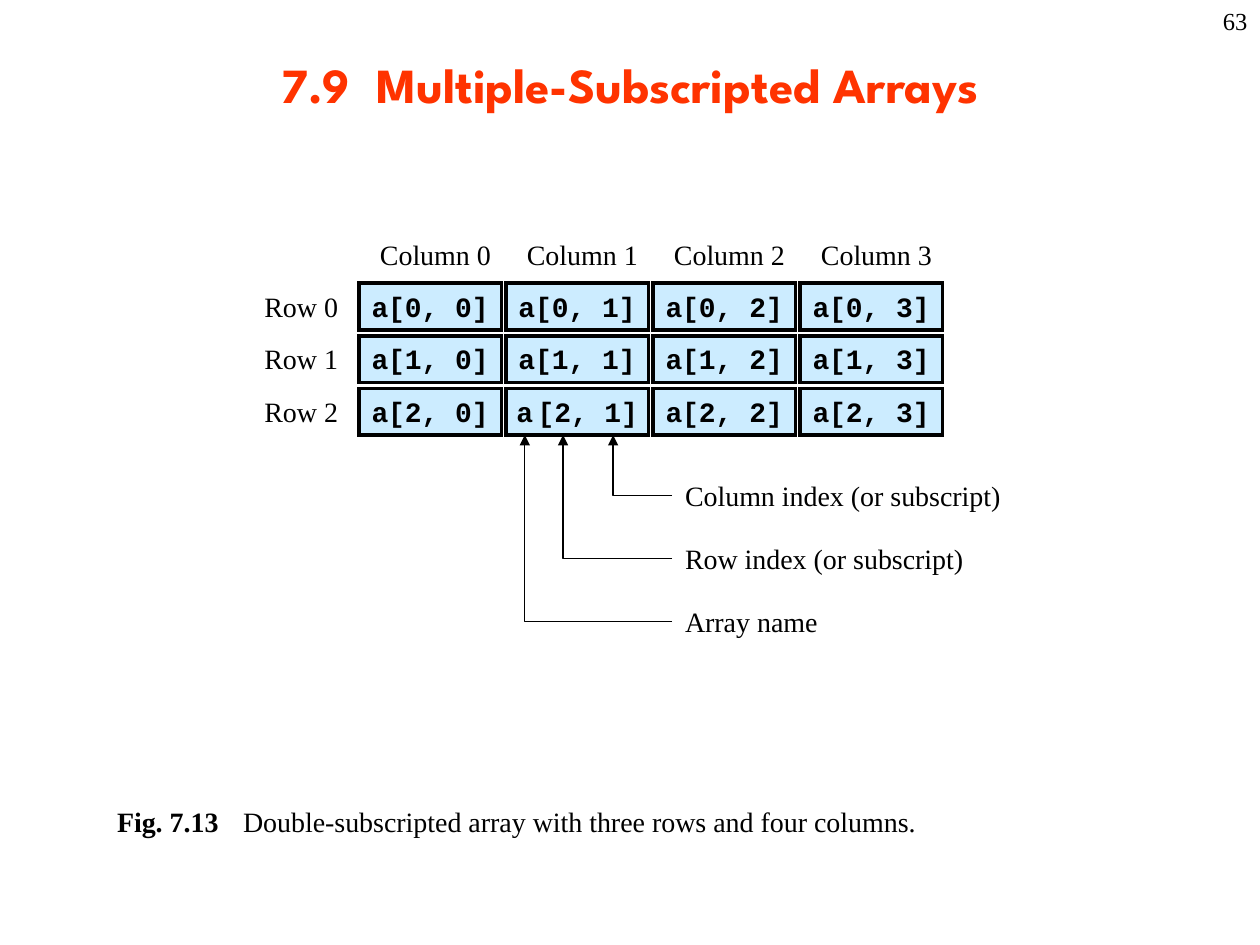
from lxml import etree
from pptx import Presentation
from pptx.dml.color import RGBColor
from pptx.enum.shapes import MSO_CONNECTOR as CONN, MSO_SHAPE as SHAPE
from pptx.enum.text import MSO_ANCHOR as ANCHOR, MSO_AUTO_SIZE as AUTO, PP_ALIGN as ALIGN
from pptx.oxml.ns import qn
from pptx.util import Cm, Pt

SERIF, MONO, HEADING = "Times New Roman", "Courier New", "League Spartan"
BLACK, RED, PALE_BLUE = "000000", "FF3300", "CCECFF"

# Grid of array cells, in cm
ROWS, COLS = 3, 4
GRID_X, GRID_Y = 7.24, 5.71
PITCH_X, PITCH_Y = 8.89 / 3, 1.06
CELL_W, CELL_H = 2.87, 0.94
GRID_BOTTOM = 8.77
SPLIT_CELL = (2, 1)


def rgb(value):
    return RGBColor.from_string(value)


def add_run(p, text, font=SERIF, size=16, color=BLACK, bold=False):
    r = p.add_run()
    r.text = text
    r.font.name = font
    r.font.size = Pt(size)
    r.font.bold = bold
    r.font.color.rgb = rgb(color)


def add_box(s, x, y, w, h, wrap=True, align=ALIGN.LEFT, anchor=ANCHOR.TOP):
    """Add an empty text box and return its paragraph."""
    tf = s.shapes.add_textbox(Cm(x), Cm(y), Cm(w), Cm(h)).text_frame
    tf.word_wrap = wrap
    tf.auto_size = AUTO.NONE if wrap else AUTO.SHAPE_TO_FIT_TEXT
    tf.vertical_anchor = anchor
    p = tf.paragraphs[0]
    p.alignment = align
    return p


def add_label(s, text, x, y, w, **style):
    """Add a one-line text in a box that grows with it."""
    add_run(add_box(s, x, y, w, CELL_H, wrap=False), text, **style)


def add_cell(s, text, x, y):
    sp = s.shapes.add_shape(SHAPE.RECTANGLE, Cm(x), Cm(y), Cm(CELL_W), Cm(CELL_H))
    sp.shadow.inherit = False
    sp.fill.solid()
    sp.fill.fore_color.rgb = rgb(PALE_BLUE)
    sp.line.color.rgb = rgb(BLACK)
    sp.line.width = Pt(2)
    # Square corners
    etree.SubElement(sp._element.spPr.find(qn("a:ln")), qn("a:miter"), lim="800000")
    if text:
        tf = sp.text_frame
        tf.word_wrap = False
        tf.vertical_anchor = ANCHOR.TOP
        p = tf.paragraphs[0]
        p.alignment = ALIGN.LEFT
        add_run(p, text, MONO, bold=True)


def add_pointer(s, x, y, right, bottom):
    """Add a bent arrow from (right, bottom) left and then up to (x, y)."""
    c = s.shapes.add_connector(CONN.ELBOW, Cm(x), Cm(y), Cm(right), Cm(bottom))
    c.line.color.rgb = rgb(BLACK)
    c.line.width = Pt(0.75)
    props = c._element.spPr
    props.find(qn("a:prstGeom")).set("prst", "bentConnector2")
    props.find(qn("a:xfrm")).set("rot", "10800000")
    etree.SubElement(props.find(qn("a:ln")), qn("a:tailEnd"), type="triangle")
    etree.SubElement(props, qn("a:effectLst"))


def add_grid(s):
    for col in range(COLS):
        add_label(s, f"Column {col}", 7.41 + col * PITCH_X, 4.66, 2.76)
    for row in range(ROWS):
        y = GRID_Y + row * PITCH_Y
        add_label(s, f"Row {row}", 5.08, y, 2)
        for col in range(COLS):
            text = "" if (row, col) == SPLIT_CELL else f"a[{row}, {col}]"
            add_cell(s, text, GRID_X + col * PITCH_X, y)

    # The explained cell holds its name and both indexes as separate texts
    y = GRID_Y + SPLIT_CELL[0] * PITCH_Y
    for text, x, w in (("a", 10.16, 0.85), ("[2,", 10.59, 1.53), (" 1]", 11.6, 1.53)):
        add_label(s, text, x, y, w, font=MONO, bold=True)


def add_explanations(s):
    pointers = (
        ("Column index (or subscript)", 12.36, 6.88),
        ("Row index (or subscript)", 11.35, 6.13),
        ("Array name", 10.58, 3.18),
    )
    for i, (text, tip_x, w) in enumerate(pointers):
        y = 9.53 + i * 1.27
        add_label(s, text, 13.56, y, w)
        add_pointer(s, tip_x, GRID_BOTTOM, 13.55, y + 0.46)


def main():
    prs = Presentation()
    prs.slide_width, prs.slide_height = Cm(25.4), Cm(19.05)
    s = prs.slides.add_slide(prs.slide_layouts[6])

    # Title and page number
    p = add_box(s, 1.9, 0.2, 21.6, 2.97, align=ALIGN.CENTER, anchor=ANCHOR.MIDDLE)
    add_run(p, "7.9  Multiple-Subscripted Arrays", HEADING, 28, RED, True)
    p = add_box(s, 20.12, 0, 5.28, 1.27, align=ALIGN.RIGHT)
    add_run(p, "63", size=14)

    # Array diagram
    add_grid(s)
    add_explanations(s)

    # Caption
    p = add_box(s, 2.11, 16.1, 17.15, CELL_H)
    add_run(p, "Fig. 7.13\t", bold=True)
    add_run(p, "Double-subscripted array with three rows and four columns.")

    prs.save("out.pptx")


if __name__ == "__main__":
    main()
